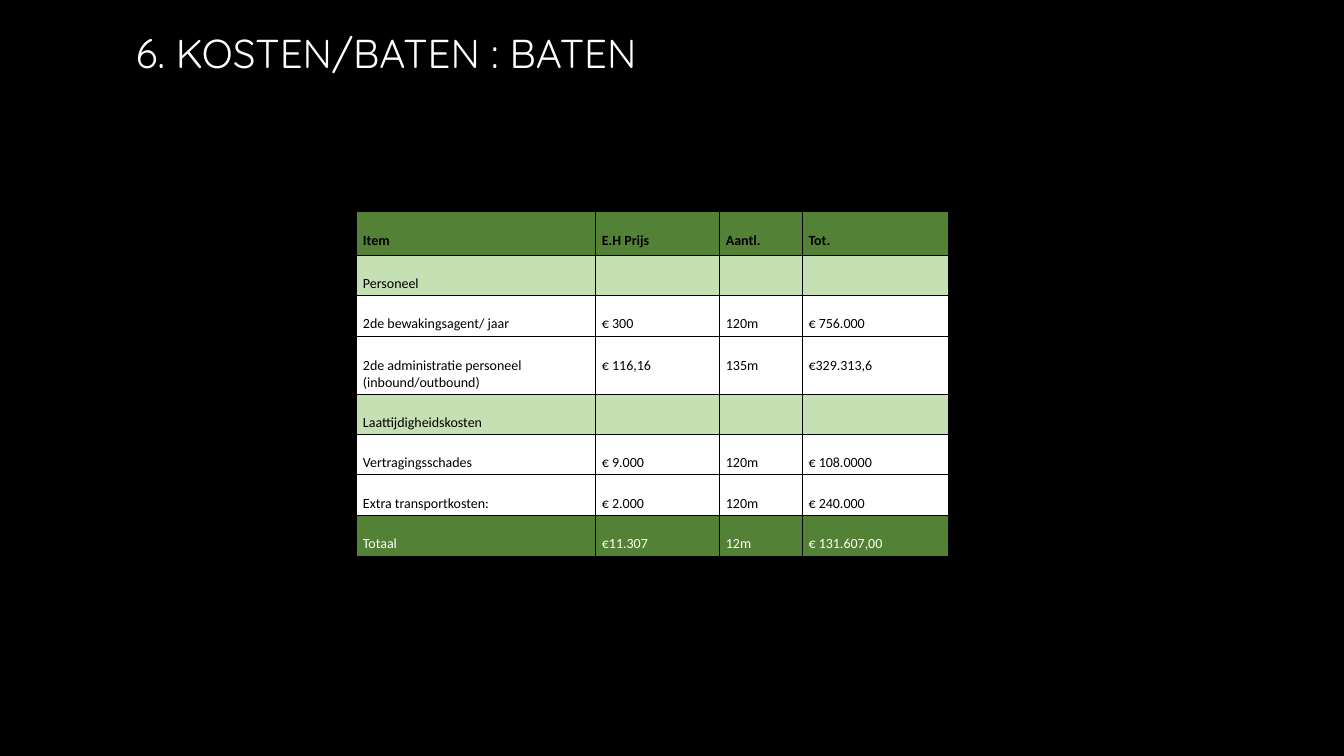
from lxml import etree
from pptx import Presentation
from pptx import util as u
from pptx.dml.color import RGBColor
from pptx.enum import text
from pptx.oxml import ns

COLORS = {"black": "000000", "white": "FFFFFF", "dark": "538135", "light": "C5E0B3"}
COLUMN_WIDTHS = [2.37, 1.23, 0.82, 1.45]
ROW_STYLES = {
    "header": {"fill": "dark", "color": "black", "bold": True},
    "group": {"fill": "light", "color": "black", "bold": False},
    "item": {"fill": "white", "color": "black", "bold": False},
    "total": {"fill": "dark", "color": "white", "bold": False},
}
ROWS = [
    ("header", 0.43, ["Item", "E.H Prijs", "Aantl.", "Tot."]),
    ("group", 0.4, ["Personeel", "", "", ""]),
    ("item", 0.41, ["2de bewakingsagent/ jaar", "€ 300", "120m", "€ 756.000"]),
    ("item", 0.57, ["2de administratie personeel (inbound/outbound)",
                    "€ 116,16", "135m", "€329.313,6"]),
    ("group", 0.4, ["Laattijdigheidskosten", "", "", ""]),
    ("item", 0.4, ["Vertragingsschades", "€ 9.000", "120m", "€ 108.0000"]),
    ("item", 0.4, ["Extra transportkosten:", "€ 2.000", "120m", "€ 240.000"]),
    ("total", 0.41, ["Totaal", "€11.307", "12m", "€ 131.607,00"]),
]


def rgb(name):
    """Return the named colour."""
    return RGBColor.from_string(COLORS[name])


def set_values(target, values):
    """Set each attribute of the target from a dict."""
    for name, value in values.items():
        setattr(target, name, value)


def write(paragraph, content, color, **font_values):
    """Add one formatted run to a paragraph."""
    run = paragraph.add_run()
    run.text = content
    set_values(run.font, font_values)
    run.font.color.rgb = rgb(color)


def add_title(slide, content):
    """Add the slide title."""
    box = slide.shapes.add_textbox(u.Inches(1.25), u.Inches(0.25), u.Inches(10.83), u.Inches(0.53))
    frame = box.text_frame
    set_values(frame, {"word_wrap": True, "vertical_anchor": text.MSO_ANCHOR.MIDDLE})
    write(frame.paragraphs[0], content, "white", name="Quicksand", size=u.Pt(28.8))


def add_borders(cell):
    """Draw a thin black line on each side of a cell, before its fill."""
    properties = cell._tc.get_or_add_tcPr()
    for index, side in enumerate(("lnL", "lnR", "lnT", "lnB")):
        line = etree.Element(ns.qn(f"a:{side}"), w=str(u.Pt(0.75)))
        fill = etree.SubElement(line, ns.qn("a:solidFill"))
        etree.SubElement(fill, ns.qn("a:srgbClr"), val=COLORS["black"])
        properties.insert(index, line)


def fill_cell(cell, content, style):
    """Format a cell and write its content."""
    set_values(cell, {
        "margin_left": u.Inches(0.06), "margin_right": u.Inches(0.06),
        "margin_top": u.Inches(0.2 if content else 0.03), "margin_bottom": u.Inches(0.03),
    })
    cell.fill.solid()
    cell.fill.fore_color.rgb = rgb(style["fill"])
    add_borders(cell)
    if content:
        write(cell.text_frame.paragraphs[0], content, style["color"],
              name="Calibri", size=u.Pt(10), bold=style["bold"])


def add_benefits_table(slide):
    """Add the table of benefits."""
    width = sum(COLUMN_WIDTHS)
    height = sum(row[1] for row in ROWS)
    table = slide.shapes.add_table(len(ROWS), len(COLUMN_WIDTHS), u.Inches(3.54), u.Inches(2.1),
                                   u.Inches(width), u.Inches(height)).table
    for column, column_width in zip(table.columns, COLUMN_WIDTHS):
        column.width = u.Inches(column_width)
    for row, (kind, row_height, contents) in zip(table.rows, ROWS):
        row.height = u.Inches(row_height)
        for cell, content in zip(row.cells, contents):
            fill_cell(cell, content, ROW_STYLES[kind])


def main():
    """Build and save the presentation."""
    presentation = Presentation()
    set_values(presentation, {"slide_width": u.Inches(13.33), "slide_height": u.Inches(7.5)})
    slide = presentation.slides.add_slide(presentation.slide_layouts[6])
    slide.background.fill.solid()
    slide.background.fill.fore_color.rgb = rgb("black")
    add_title(slide, "6. KOSTEN/BATEN : BATEN")
    add_benefits_table(slide)
    presentation.save("out.pptx")


if __name__ == "__main__":
    main()
